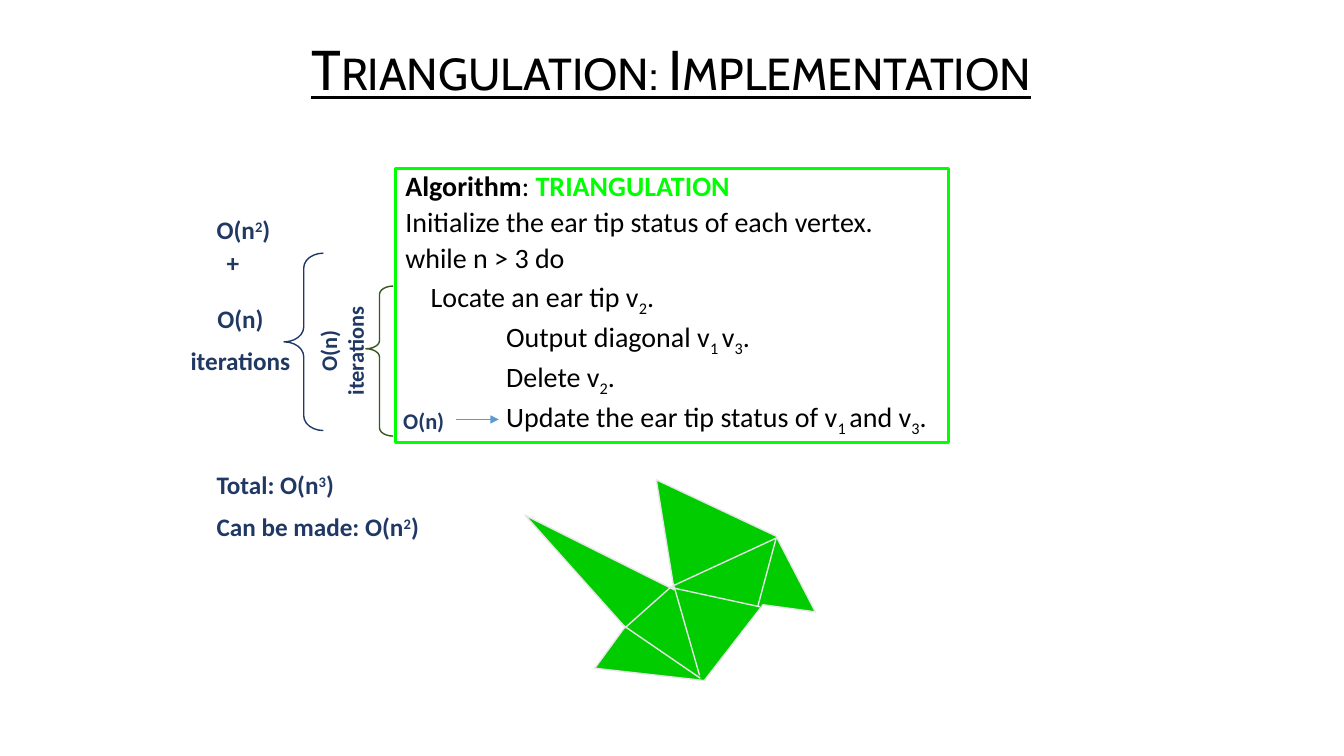
from dataclasses import dataclass
from typing import Optional

from lxml.etree import SubElement
from pptx import Presentation
from pptx.dml.color import RGBColor
from pptx.enum.shapes import MSO_CONNECTOR, MSO_SHAPE
from pptx.enum.text import MSO_ANCHOR, MSO_AUTO_SIZE, PP_ALIGN
from pptx.oxml.ns import qn
from pptx.util import Cm, Pt

BLACK = RGBColor(0x00, 0x00, 0x00)
LIME = RGBColor(0x00, 0xFF, 0x00)
GREEN = RGBColor(0x00, 0xCC, 0x00)
PALE = RGBColor(0xE7, 0xE6, 0xE6)
NAVY = RGBColor(0x20, 0x38, 0x64)
OLIVE = RGBColor(0x38, 0x57, 0x23)
BLUE = RGBColor(0x5B, 0x9B, 0xD5)

SUB, SUPER = -25000, 30000
STEP_INDENT, NESTED_INDENT = 0.64, 2.54


@dataclass
class Span:
    text: str
    baseline: int = 0
    bold: bool = False
    color: RGBColor = BLACK


@dataclass
class Line:
    spans: list[Span]
    indent: float = 0


@dataclass
class Note:
    left: float
    top: float
    width: float
    height: float
    lines: list[Line]
    size: int = 18
    align: PP_ALIGN = PP_ALIGN.LEFT
    space: float = 8.5
    rotation: int = 0


@dataclass
class Brace:
    left: float
    top: float
    width: float
    height: float
    curve: float
    middle: float
    color: RGBColor


def note_line(text: str, power: str = "") -> Line:
    parts = [(text, 0)]
    if power:
        parts += [(power, SUPER), (")", 0)]
    return Line([Span(part, baseline, True, NAVY) for part, baseline in parts])


def step(indent: float, *texts: str) -> Line:
    return Line([Span(text, SUB if place % 2 else 0) for place, text in enumerate(texts)], indent)


ALGORITHM = [
    Line([Span("Algorithm", bold=True), Span(": "), Span("TRIANGULATION", bold=True, color=LIME)]),
    step(0, "Initialize the ear tip status of each vertex."),
    step(0, "while n > 3 do"),
    step(STEP_INDENT, "Locate an ear tip v", "2", "."),
    step(NESTED_INDENT, "Output diagonal v", "1 ", "v", "3", "."),
    step(NESTED_INDENT, "Delete v", "2", "."),
    step(NESTED_INDENT, "Update the ear tip status of v", "1 ", "and v", "3", "."),
]

ITERATIONS = [note_line("O(n)"), note_line("iterations")]

NOTES = [
    Note(5.21, 5.28, 2.79, 1.02, [note_line("O(n", "2")]),
    Note(5.46, 6.1, 1.19, 1.02, [note_line("+")]),
    Note(4.17, 7.52, 3.78, 2.18, ITERATIONS, align=PP_ALIGN.CENTER),
    Note(6.73, 8.03, 3.78, 1.63, ITERATIONS, 16, PP_ALIGN.CENTER, 0, 270),
    Note(5.21, 11.71, 6.02, 2.18, [note_line("Total: O(n", "3"), note_line("Can be made: O(n", "2")]),
    Note(8.79, 10.13, 3.78, 0.94, [note_line("O(n)")], 16, PP_ALIGN.CENTER, 0),
]

BRACES = [
    Brace(7.16, 6.38, 0.99, 4.47, 0.378, 0.5, NAVY),
    Brace(9.22, 7.21, 0.69, 3.78, 0.301, 0.418, OLIVE),
]

POLYGON = [
    (13.23, 12.98), (16.99, 14.86), (16.54, 12.09), (19.56, 13.51), (20.55, 15.42),
    (19.23, 15.24), (17.75, 17.15), (14.99, 16.84), (15.75, 15.8),
]

DIAGONALS = [
    ((16.92, 14.78), (19.56, 13.56)),
    ((19.56, 13.56), (19.1, 15.27)),
    ((16.94, 14.81), (19.15, 15.29)),
    ((15.75, 15.82), (16.92, 14.78)),
    ((17.63, 17.02), (16.99, 14.78)),
    ((17.65, 17.09), (15.65, 15.72)),
]


def place(shape, left: float, top: float, width: float, height: float) -> None:
    shape.left, shape.top, shape.width, shape.height = map(Cm, (left, top, width, height))


def write(frame, lines: list[Line], size: int, align: PP_ALIGN, space: float,
          spacing: Optional[float] = None) -> None:
    frame.word_wrap = True
    frame.auto_size = MSO_AUTO_SIZE.NONE
    for number, line in enumerate(lines):
        para = frame.add_paragraph() if number else frame.paragraphs[0]
        para.alignment = align
        para.space_before = Pt(space)
        para.line_spacing = spacing
        properties = para._p.get_or_add_pPr()
        properties.set("marL", str(Cm(line.indent)))
        properties.set("indent", "0")
        SubElement(properties, qn("a:buNone"))
        for part in line.spans:
            span = para.add_run()
            span.text = part.text
            span.font.name = "Calibri"
            span.font.size = Pt(size)
            span.font.bold = part.bold
            span.font.color.rgb = part.color
            if part.baseline:
                span.font._element.set("baseline", str(part.baseline))


def add_title(page) -> None:
    title = page.shapes.title
    place(title, 4.42, 0.74, 24.99, 2.16)
    frame = title.text_frame
    frame.auto_size = MSO_AUTO_SIZE.NONE
    frame.vertical_anchor = MSO_ANCHOR.MIDDLE
    para = frame.paragraphs[0]
    para.alignment = PP_ALIGN.CENTER
    para.line_spacing = 0.9
    span = para.add_run()
    span.text = "Triangulation: Implementation"
    span.font.name = "Cabin"
    span.font.size = Pt(40)
    span.font.underline = True
    span.font.color.rgb = BLACK
    span.font._element.set("cap", "small")


def add_algorithm(page) -> None:
    box = page.placeholders[1]
    place(box, 9.96, 4.24, 13.94, 6.91)
    box.line.color.rgb = LIME
    box.line.width = Pt(2.25)
    box.text_frame.vertical_anchor = MSO_ANCHOR.TOP
    write(box.text_frame, ALGORITHM, 20, PP_ALIGN.LEFT, 5.3, 0.85)


def add_note(page, note: Note) -> None:
    box = page.shapes.add_textbox(Cm(note.left), Cm(note.top), Cm(note.width), Cm(note.height))
    box.rotation = note.rotation
    write(box.text_frame, note.lines, note.size, note.align, note.space)


def add_brace(page, brace: Brace) -> None:
    shape = page.shapes.add_shape(MSO_SHAPE.LEFT_BRACE, Cm(brace.left), Cm(brace.top),
                                  Cm(brace.width), Cm(brace.height))
    shape.shadow.inherit = False
    shape.fill.background()
    shape.line.color.rgb = brace.color
    shape.line.width = Pt(1)
    shape.adjustments[0] = brace.curve
    shape.adjustments[1] = brace.middle


def add_line(shapes, start: tuple, end: tuple, color: RGBColor, width: float):
    line = shapes.add_connector(MSO_CONNECTOR.STRAIGHT, *map(Cm, start + end))
    line.line.color.rgb = color
    line.line.width = Pt(width)
    SubElement(line._element.spPr, qn("a:effectLst"))
    return line


def add_triangulation(page) -> None:
    group = page.shapes.add_group_shape()
    corners = [(Cm(x), Cm(y)) for x, y in POLYGON]
    builder = group.shapes.build_freeform(*corners[0])
    builder.add_line_segments(corners[1:], close=True)
    polygon = builder.convert_to_shape()
    polygon.shadow.inherit = False
    polygon.fill.solid()
    polygon.fill.fore_color.rgb = GREEN
    polygon.line.color.rgb = PALE
    polygon.line.width = Pt(1)
    for start, end in DIAGONALS:
        add_line(group.shapes, start, end, PALE, 1)


def main() -> None:
    deck = Presentation()
    deck.slide_width, deck.slide_height = Cm(33.87), Cm(19.05)
    page = deck.slides.add_slide(deck.slide_layouts[1])
    add_title(page)
    add_algorithm(page)
    add_triangulation(page)
    for note in NOTES:
        add_note(page, note)
    for brace in BRACES:
        add_brace(page, brace)
    arrow = add_line(page.shapes, (11.48, 10.57), (12.57, 10.57), BLUE, 0.5)
    SubElement(arrow.line._get_or_add_ln(), qn("a:tailEnd"), type="triangle")
    deck.save("out.pptx")


if __name__ == "__main__":
    main()
